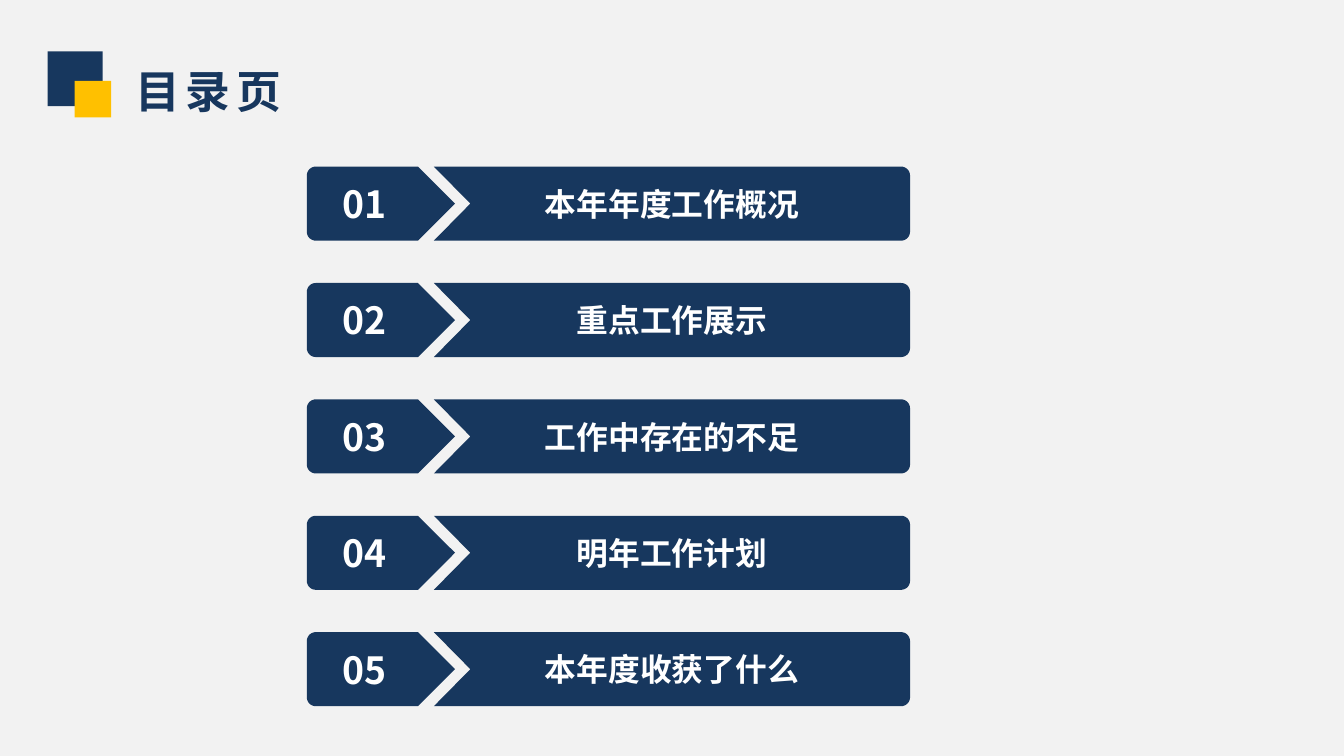
import math
from dataclasses import dataclass

import pptx
import pptx.dml.color
import pptx.enum.shapes
import pptx.enum.text
import pptx.oxml
import pptx.oxml.ns
import pptx.util
from pptx.util import Cm

NAVY, GOLD, WHITE, PALE = "17375E", "FFC000", "FFFFFF", "F2F2F2"
FONT = "Noto Sans CJK SC"

ROW_TOP, ROW_PITCH, ROW_HEIGHT = 3.15, 2.2, 1.4
BADGE_LEFT, BADGE_SHOULDER, BADGE_TIP = 5.8, 7.9, 8.6
BAR_LEFT, BAR_NOTCH, BAR_RIGHT = 8.2, 8.89, 17.2
RADIUS = 0.17
Point = tuple[float, float]


@dataclass
class Chapter:
    number: str
    heading: str


@dataclass
class Square:
    left: float
    top: float
    side: float
    color: str


CHAPTERS = [
    Chapter("01", "本年年度工作概况"),
    Chapter("02", "重点工作展示"),
    Chapter("03", "工作中存在的不足"),
    Chapter("04", "明年工作计划"),
    Chapter("05", "本年度收获了什么"),
]
SQUARES = [Square(0.9, 0.97, 1.04, NAVY), Square(1.41, 1.53, 0.69, GOLD)]


def rgb(color: str) -> pptx.dml.color.RGBColor:
    return pptx.dml.color.RGBColor.from_string(color)


def paint(shape, color: str) -> None:
    shape.fill.solid()
    shape.fill.fore_color.rgb = rgb(color)
    shape.line.fill.background()
    shape.shadow.inherit = False


def format_text(shape, size: float, color: str, align) -> None:
    paragraph = shape.text_frame.paragraphs[0]
    paragraph.alignment = align
    for run in paragraph.runs:
        run.font.size = pptx.util.Pt(size)
        run.font.bold = True
        run.font.color.rgb = rgb(color)
        run.font.name = FONT
        east_asian = pptx.oxml.ns.qn("a:ea")
        run.font._element.makeelement(east_asian)
        properties = run.font._element
        properties.append(properties.makeelement(east_asian, {"typeface": FONT}))


def corner(x: float, y: float, start: int) -> list[Point]:
    """Quarter circle around (x, y), clockwise from the start angle in degrees."""
    angles = [math.radians(start + step) for step in range(0, 91, 10)]
    return [(x + RADIUS * math.cos(a), y + RADIUS * math.sin(a)) for a in angles]


def add_panel(slide, points: list[Point], text: str, size: float, right_inset: float) -> None:
    (start_x, start_y), *others = [(Cm(x), Cm(y)) for x, y in points]
    builder = slide.shapes.build_freeform(start_x, start_y)
    builder.add_line_segments(others, close=True)
    panel = builder.convert_to_shape()
    paint(panel, NAVY)
    frame = panel.text_frame
    frame.text = text
    frame.word_wrap = True
    frame.vertical_anchor = pptx.enum.text.MSO_ANCHOR.MIDDLE
    frame.margin_left, frame.margin_right = Cm(0.28), Cm(right_inset)
    frame.margin_top = frame.margin_bottom = Cm(0.13)
    format_text(panel, size, WHITE, pptx.enum.text.PP_ALIGN.CENTER)


def add_chapter(slide, chapter: Chapter, top: float) -> None:
    middle, bottom = top + ROW_HEIGHT / 2, top + ROW_HEIGHT
    upper, lower = top + RADIUS, bottom - RADIUS
    bar = [
        (BAR_LEFT, top),
        *corner(BAR_RIGHT - RADIUS, upper, 270),
        *corner(BAR_RIGHT - RADIUS, lower, 0),
        (BAR_LEFT, bottom),
        (BAR_NOTCH, middle),
    ]
    badge = [
        *corner(BADGE_LEFT + RADIUS, lower, 90),
        *corner(BADGE_LEFT + RADIUS, upper, 180),
        (BADGE_SHOULDER, top),
        (BADGE_TIP, middle),
        (BADGE_SHOULDER, bottom),
    ]
    add_panel(slide, bar, chapter.heading, 17, 0.28)
    add_panel(slide, badge, chapter.number, 20, 0.89)


def add_square(slide, square: Square) -> None:
    shape = slide.shapes.add_shape(
        pptx.enum.shapes.MSO_SHAPE.RECTANGLE,
        Cm(square.left), Cm(square.top), Cm(square.side), Cm(square.side),
    )
    paint(shape, square.color)


def set_title(slide, text: str) -> None:
    title = slide.shapes.title
    title.left, title.top, title.width, title.height = Cm(2.31), Cm(1.07), Cm(4.4), Cm(1.27)
    frame = title.text_frame
    frame.text = text
    frame.word_wrap = True
    frame.auto_size = pptx.enum.text.MSO_AUTO_SIZE.SHAPE_TO_FIT_TEXT
    frame.vertical_anchor = pptx.enum.text.MSO_ANCHOR.TOP
    format_text(title, 24, NAVY, pptx.enum.text.PP_ALIGN.LEFT)
    frame.paragraphs[0].runs[0].font._element.set("spc", "300")


def main() -> None:
    presentation = pptx.Presentation()
    presentation.slide_width, presentation.slide_height = Cm(25.4), Cm(14.29)
    slide = presentation.slides.add_slide(presentation.slide_layouts[5])
    slide.background.fill.solid()
    slide.background.fill.fore_color.rgb = rgb(PALE)
    set_title(slide, "目录页")
    for square in SQUARES:
        add_square(slide, square)
    for row, chapter in enumerate(CHAPTERS):
        add_chapter(slide, chapter, ROW_TOP + row * ROW_PITCH)
    presentation.save("out.pptx")


if __name__ == "__main__":
    main()
